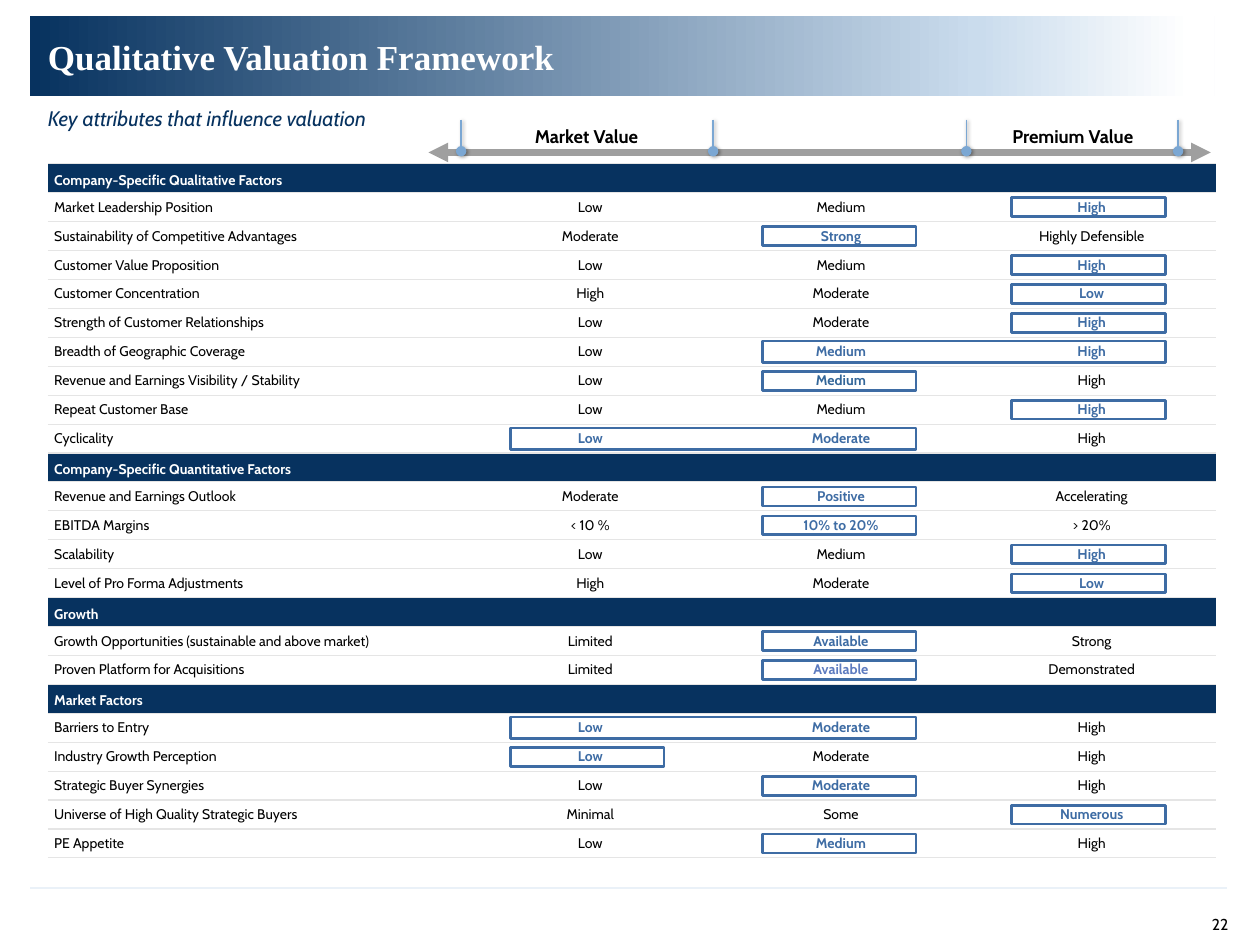
from copy import deepcopy

from lxml import etree
from pptx import Presentation
from pptx.dml.color import RGBColor
from pptx.enum import shapes, text
from pptx.oxml import ns
from pptx.util import Inches, Pt

NAVY = RGBColor(0x07, 0x32, 0x5F)
PALE_BLUE = RGBColor(0xCA, 0xDC, 0xED)
WHITE = RGBColor(0xFF, 0xFF, 0xFF)
BLACK = RGBColor(0, 0, 0)
ACCENT = RGBColor(0x3E, 0x6C, 0xA4)
MARKER_BLUE = RGBColor(0x7B, 0xA7, 0xD3)
AXIS_GRAY = RGBColor(0x9F, 0x9F, 0x9F)
ROW_RULE = RGBColor(0xE5, 0xE5, 0xE5)
FOOTER_RULE = RGBColor(0xEA, 0xF1, 0xF8)
TINTS = {
    "Revenue and Earnings Visibility / Stability": RGBColor(0x33, 0x66, 0x99),
    "Proven Platform for Acquisitions": RGBColor(0x5D, 0x7B, 0xBF),
}

BODY_FONT = "Cabin"
NO_GRID_STYLE = "{2D5ABB26-0587-4C30-8999-92F81FD0307C}"
LEFT = 0.38
TABLE_TOP = 1.3
ROW_HEIGHT = 5.51 / 24
COLUMN_WIDTHS = (3.3, 1.99, 1.99, 1.99)
BOX_LEFTS = {1: 4.05, 2: 6.05, 3: 8.03}
BOX_WIDTH = 1.22
LEFT_ALIGN, CENTER, RIGHT = (
    text.PP_ALIGN.LEFT, text.PP_ALIGN.CENTER, text.PP_ALIGN.RIGHT)

# Section title, then each factor: name, three levels, first and last boxed level
SECTIONS = [
    ("Company-Specific Qualitative Factors", [
        ("Market Leadership Position", "Low", "Medium", "High", 3, 3),
        ("Sustainability of Competitive Advantages",
         "Moderate", "Strong", "Highly Defensible", 2, 2),
        ("Customer Value Proposition", "Low", "Medium", "High", 3, 3),
        ("Customer Concentration", "High", "Moderate", "Low", 3, 3),
        ("Strength of Customer Relationships", "Low", "Moderate", "High", 3, 3),
        ("Breadth of Geographic Coverage", "Low", "Medium", "High", 2, 3),
        ("Revenue and Earnings Visibility / Stability",
         "Low", "Medium", "High", 2, 2),
        ("Repeat Customer Base", "Low", "Medium", "High", 3, 3),
        ("Cyclicality", "Low", "Moderate", "High", 1, 2),
    ]),
    ("Company-Specific Quantitative Factors", [
        ("Revenue and Earnings Outlook",
         "Moderate", "Positive", "Accelerating", 2, 2),
        ("EBITDA Margins", "< 10 %", "10% to 20%", "> 20%", 2, 2),
        ("Scalability", "Low", "Medium", "High", 3, 3),
        ("Level of Pro Forma Adjustments", "High", "Moderate", "Low", 3, 3),
    ]),
    ("Growth", [
        ("Growth Opportunities (sustainable and above market)",
         "Limited", "Available", "Strong", 2, 2),
        ("Proven Platform for Acquisitions",
         "Limited", "Available", "Demonstrated", 2, 2),
    ]),
    ("Market Factors", [
        ("Barriers to Entry", "Low", "Moderate", "High", 1, 2),
        ("Industry Growth Perception", "Low", "Moderate", "High", 1, 1),
        ("Strategic Buyer Synergies", "Low", "Moderate", "High", 2, 2),
        ("Universe of High Quality Strategic Buyers",
         "Minimal", "Some", "Numerous", 3, 3),
        ("PE Appetite", "Low", "Medium", "High", 2, 2),
    ]),
]


def add_xml(parent, tag, **attributes):
    return etree.SubElement(parent, ns.qn(tag), attributes)


def style_run(paragraph, size, color, bold=False, italic=False, font=BODY_FONT):
    for run in paragraph.runs:
        run.font.size, run.font.name = Pt(size), font
        run.font.bold, run.font.italic = bold, italic
        run.font.color.rgb = color


def add_text(slide, at, words, size, color, align=LEFT_ALIGN,
             insets=(0, 0, 0, 0), anchor=text.MSO_ANCHOR.TOP, **style):
    frame = slide.shapes.add_textbox(*map(Inches, at)).text_frame
    frame.word_wrap = True
    frame.vertical_anchor = anchor
    (frame.margin_left, frame.margin_top,
     frame.margin_right, frame.margin_bottom) = map(Inches, insets)
    frame.text = words
    frame.paragraphs[0].alignment = align
    style_run(frame.paragraphs[0], size, color, **style)


def add_rect(slide, left, top, width, height):
    rect = slide.shapes.add_shape(
        shapes.MSO_SHAPE.RECTANGLE, *map(Inches, (left, top, width, height)))
    rect.shadow.inherit = False
    return rect


def add_banner(slide):
    banner = add_rect(slide, 0.24, 0.13, 9.4, 0.63)
    banner.line.fill.background()
    banner.fill.gradient()
    banner.fill.gradient_angle = 0
    stop_list = banner._element.spPr.find(".//" + ns.qn("a:gsLst"))
    stop_list.append(deepcopy(stop_list[0]))
    colors = ((0, NAVY), (0.8, PALE_BLUE), (0.98, WHITE))
    for stop, (position, color) in zip(banner.fill.gradient_stops, colors):
        stop.position, stop.color.rgb = position, color


def add_line(slide, start, end, color, width, head=None, tail=None, shadow=False):
    line = slide.shapes.add_connector(
        shapes.MSO_CONNECTOR.STRAIGHT, *map(Inches, start + end))
    line.line.color.rgb, line.line.width = color, Pt(width)
    outline = line.line._get_or_add_ln()
    for tag, kind in (("a:headEnd", head), ("a:tailEnd", tail)):
        if kind:
            add_xml(outline, tag, type=kind)
    effects = add_xml(line._element.spPr, "a:effectLst")
    if shadow:
        cast = add_xml(effects, "a:outerShdw", blurRad=str(Pt(2)),
                       dist=str(Pt(1)), dir="2400000", rotWithShape="0")
        black = add_xml(cast, "a:srgbClr", val=str(BLACK))
        add_xml(black, "a:alpha", val="40000")


def add_value_axis(slide):
    add_line(slide, (3.4, 1.21), (9.61, 1.21), AXIS_GRAY, 3.75,
             "triangle", "triangle")
    for x in (3.66, 5.66, 7.67, 9.35):
        add_line(slide, (x, 0.95), (x, 1.2), MARKER_BLUE, 0.75,
                 tail="oval", shadow=True)
    for left, label in ((3.94, "Market Value"), (7.8, "Premium Value")):
        add_text(slide, (left, 0.94, 1.43, 0.28), label, 10.5, BLACK, CENTER,
                 (0.1, 0.05, 0.1, 0.05), bold=True)


def fill_cell(cell, words, color, bold, align, header):
    cell.margin_left = Inches(0.05)
    cell.margin_top = cell.margin_right = cell.margin_bottom = Inches(0.03)
    cell.vertical_anchor = (
        text.MSO_ANCHOR.BOTTOM if header else text.MSO_ANCHOR.MIDDLE)
    for tag in ("a:lnT", "a:lnB"):
        border = add_xml(cell._tc.get_or_add_tcPr(), tag, w=str(Pt(0.75)))
        add_xml(add_xml(border, "a:solidFill"), "a:srgbClr", val=str(ROW_RULE))
    if header:
        cell.fill.solid()
        cell.fill.fore_color.rgb = NAVY
    else:
        cell.fill.background()
    paragraph = cell.text_frame.paragraphs[0]
    paragraph.alignment = align
    if words:
        paragraph.text = words
        style_run(paragraph, 8, color, bold)
    else:
        # An empty cell needs a small text size to keep its row low
        paragraph._p.get_or_add_endParaRPr().set("sz", "800")


def add_level_box(slide, row, first, last):
    extra = 0.01 if last > first else 0
    box = add_rect(slide, BOX_LEFTS[first],
                   TABLE_TOP + row * ROW_HEIGHT + 0.04 - extra,
                   BOX_LEFTS[last] + BOX_WIDTH - BOX_LEFTS[first],
                   0.15 + 2 * extra)
    box.fill.background()
    box.line.color.rgb, box.line.width = ACCENT, Pt(1.5)


def add_factor_table(slide):
    row_count = sum(1 + len(factors) for _, factors in SECTIONS)
    table = slide.shapes.add_table(
        row_count, len(COLUMN_WIDTHS), Inches(LEFT), Inches(TABLE_TOP),
        Inches(sum(COLUMN_WIDTHS)), Inches(row_count * ROW_HEIGHT)).table
    table.first_row = table.horz_banding = False
    table._tbl.tblPr.find(ns.qn("a:tableStyleId")).text = NO_GRID_STYLE
    for column, width in zip(table.columns, COLUMN_WIDTHS):
        column.width = Inches(width)
    for table_row in table.rows:
        table_row.height = Inches(ROW_HEIGHT)

    row = 0
    for section, factors in SECTIONS:
        for column, words in enumerate((section, "", "", "")):
            fill_cell(table.cell(row, column), words, WHITE, True,
                      LEFT_ALIGN, True)
        for row, (*levels, first, last) in enumerate(factors, row + 1):
            for column, words in enumerate(levels):
                boxed = first <= column <= last
                color = TINTS.get(levels[0], ACCENT) if boxed else BLACK
                fill_cell(table.cell(row, column), words, color, boxed,
                          CENTER if column else LEFT_ALIGN, False)
            add_level_box(slide, row, first, last)
        row += 1


def main():
    deck = Presentation()
    deck.slide_width, deck.slide_height = Inches(10), Inches(7.5)
    slide = deck.slides.add_slide(deck.slide_layouts[6])
    add_banner(slide)
    add_line(slide, (0.24, 7.05), (9.74, 7.05), FOOTER_RULE, 1)
    add_text(slide, (LEFT, 0.13, 7.79, 0.64), "Qualitative Valuation Framework",
             20, WHITE, anchor=text.MSO_ANCHOR.MIDDLE, bold=True,
             font="Times New Roman")
    add_text(slide, (LEFT, 0.79, 9.27, 0.25),
             "Key attributes that influence valuation", 12, NAVY,
             insets=(0, 0.05, 0, 0), italic=True)
    add_value_axis(slide)
    add_factor_table(slide)
    add_text(slide, (9.61, 7.26, 0.14, 0.15), "22", 9, BLACK, RIGHT)
    deck.save("out.pptx")


if __name__ == "__main__":
    main()
